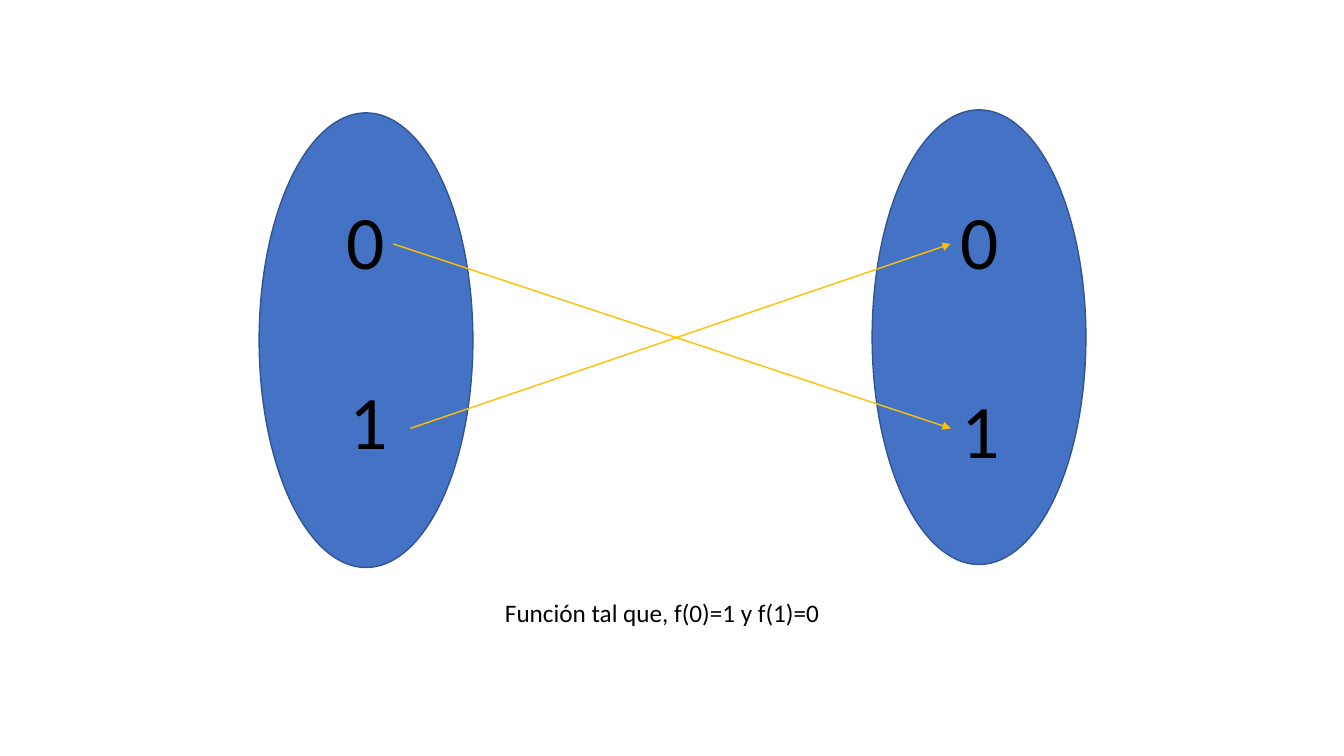
from lxml.etree import SubElement
from pptx import Presentation
from pptx.dml.color import RGBColor
from pptx.enum.shapes import MSO_CONNECTOR, MSO_SHAPE
from pptx.enum.text import MSO_AUTO_SIZE, PP_ALIGN
from pptx.oxml.ns import qn
from pptx.util import Emu, Pt

PX = 9144  # 100 px to the inch
FONT = "Calibri"
BLUE = RGBColor(0x44, 0x72, 0xC4)
NAVY = RGBColor(0x32, 0x54, 0x91)
GOLD = RGBColor(0xFF, 0xC0, 0x00)
BLACK = RGBColor(0x00, 0x00, 0x00)


def px(*lengths):
    return [Emu(n * PX) for n in lengths]


def add_text(s, box, text, size, align=PP_ALIGN.LEFT, wrap=True):
    tf = s.shapes.add_textbox(*px(*box)).text_frame
    tf.word_wrap = wrap
    tf.auto_size = MSO_AUTO_SIZE.SHAPE_TO_FIT_TEXT
    tf.text = text
    p = tf.paragraphs[0]
    p.alignment = align
    font = p.runs[0].font
    font.name, font.size, font.color.rgb = FONT, Pt(size), BLACK


def add_set(s, box, elements):
    """Draw an oval set; each element is (text, dx, dy) from the box corner."""
    left, top, _, _ = box
    sp = s.shapes.add_shape(MSO_SHAPE.OVAL, *px(*box))
    sp.shadow.inherit = False
    sp.fill.solid()
    sp.fill.fore_color.rgb = BLUE
    sp.line.color.rgb = NAVY
    sp.line.width = Pt(1)
    for text, dx, dy in elements:
        add_text(s, (left + dx, top + dy, 59, 101), text, 54,
                 PP_ALIGN.CENTER, wrap=False)


def add_arrow(s, start, end):
    line = s.shapes.add_connector(MSO_CONNECTOR.STRAIGHT, *px(*start, *end))
    line.line.color.rgb = GOLD
    line.line.width = Pt(1)
    SubElement(line.line._get_or_add_ln(), qn("a:tailEnd"), type="triangle")
    SubElement(line._element.spPr, qn("a:effectLst"))


def add_mapping(s, box):
    """Draw the crossed arrows from the domain to the codomain."""
    left, top, width, height = box
    right, bottom = left + width, top + height
    add_arrow(s, (left, top), (right, bottom))
    add_arrow(s, (left + 17, bottom), (right, top))


def main():
    prs = Presentation()
    prs.slide_width, prs.slide_height = px(1333, 750)
    s = prs.slides.add_slide(prs.slide_layouts[6])

    # Domain and codomain
    add_set(s, (257, 112, 212, 451), [("0", 76, 75), ("1", 79, 254)])
    add_set(s, (865, 109, 212, 451), [("0", 77, 78), ("1", 78, 266)])

    # Mapping and caption
    add_mapping(s, (390, 242, 553, 183))
    add_text(s, (491, 588, 351, 40), "Función tal que, f(0)=1 y f(1)=0", 18)

    prs.save("out.pptx")


if __name__ == "__main__":
    main()
